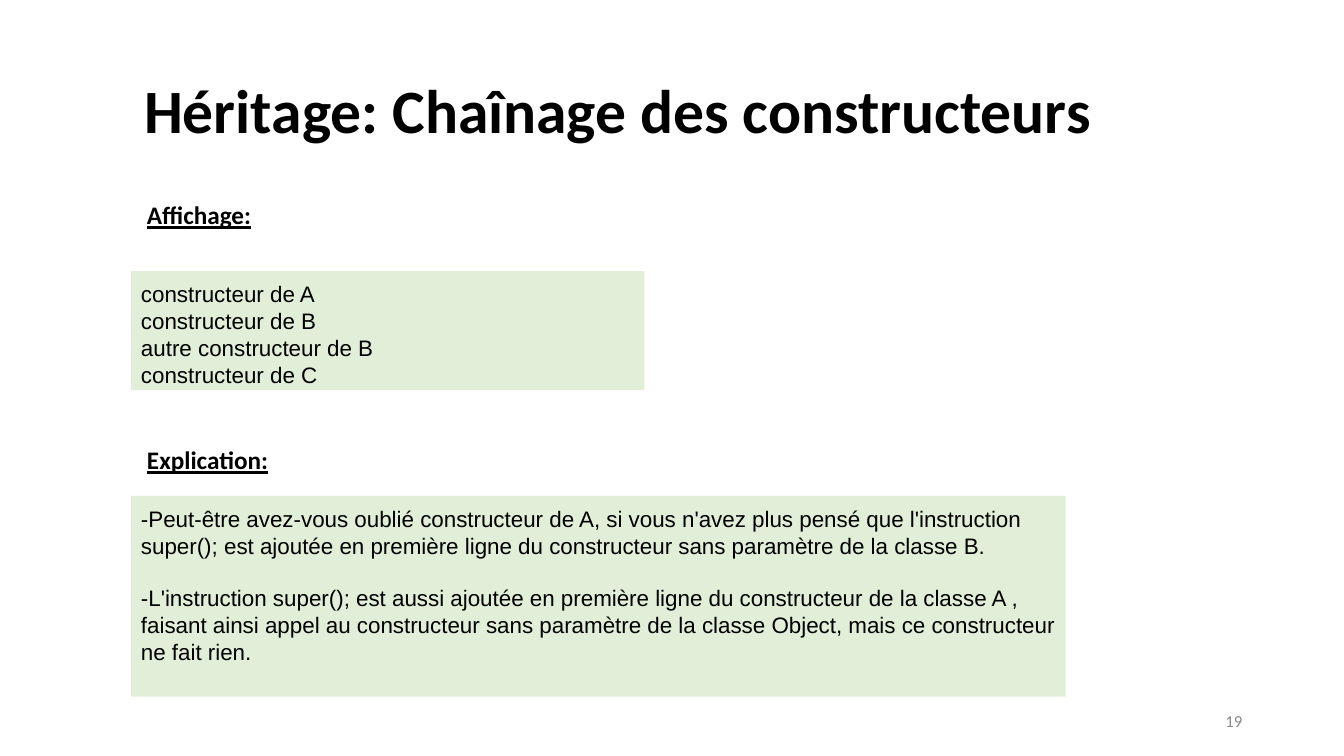
from pptx import Presentation
from pptx.dml.color import RGBColor
from pptx.enum.shapes import MSO_SHAPE
from pptx.enum.text import MSO_ANCHOR, PP_ALIGN
from pptx.util import Inches, Pt

# Content
TITLE = "Héritage: Chaînage des constructeurs"
PAGE_NUMBER = "19"
# heading, heading top, panel top, panel width, panel height, gap in points, paragraphs
SECTIONS = [
    ("Affichage:", 1.93, 2.69, 5.09, 1.18, 0, [
        "constructeur de A",
        "constructeur de B",
        "autre constructeur de B",
        "constructeur de C",
    ]),
    ("Explication:", 4.36, 4.92, 9.27, 1.99, 18.4, [
        "-Peut-être avez-vous oublié constructeur de A, si vous n'avez plus pensé que "
        "l'instruction super(); est ajoutée en première ligne du constructeur sans "
        "paramètre de la classe B.",
        "-L'instruction super(); est aussi ajoutée en première ligne du constructeur de "
        "la classe A , faisant ainsi appel au constructeur sans paramètre de la classe "
        "Object, mais ce constructeur ne fait rien.",
    ]),
]
PANEL_LEFT, HEADING_LEFT = 1.3, 1.36
BLACK, GREY, PALE_GREEN = "000000", "888888", "E1EFD8"

presentation = Presentation()
presentation.slide_width = Inches(13.33)
presentation.slide_height = Inches(7.5)
slide = presentation.slides.add_slide(presentation.slide_layouts[6])


def color(hex_code):
    return RGBColor.from_string(hex_code)


def write(frame, lines, font_name, size, hex_code=BLACK, bold=False,
          underline=False, align=PP_ALIGN.LEFT, gap=0):
    frame.word_wrap = True
    for index, line in enumerate(lines):
        paragraph = frame.add_paragraph() if index else frame.paragraphs[0]
        paragraph.text = line
        paragraph.alignment = align
        paragraph.space_before = Pt(gap if index else 0)
        font = paragraph.font
        font.name, font.size = font_name, Pt(size)
        font.bold, font.underline = bold, underline
        font.color.rgb = color(hex_code)


def add_text(left, top, width, height, text, size, **style):
    box = slide.shapes.add_textbox(*map(Inches, (left, top, width, height)))
    write(box.text_frame, [text], "Calibri", size, **style)
    return box.text_frame


# Title
title = add_text(0.92, 0.75, 11.5, 1.45, TITLE, 44, bold=True)
title.margin_left = Inches(0.51)
title.paragraphs[0].line_spacing = 0.9

# Sections: underlined heading above a green panel
for heading, heading_top, top, width, height, gap, lines in SECTIONS:
    add_text(HEADING_LEFT, heading_top, 2.27, 0.4, heading, 18, bold=True, underline=True)
    panel = slide.shapes.add_shape(
        MSO_SHAPE.RECTANGLE, *map(Inches, (PANEL_LEFT, top, width, height)))
    panel.shadow.inherit = False
    panel.fill.solid()
    panel.fill.fore_color.rgb = color(PALE_GREEN)
    panel.line.fill.background()
    panel.text_frame.vertical_anchor = MSO_ANCHOR.TOP
    panel.text_frame.margin_top = Inches(0.09)
    write(panel.text_frame, lines, "Arial", 16, gap=gap)

# Page number
number = add_text(9.42, 6.95, 3, 0.4, PAGE_NUMBER, 12, hex_code=GREY, align=PP_ALIGN.RIGHT)
number.vertical_anchor = MSO_ANCHOR.MIDDLE

presentation.save("out.pptx")
